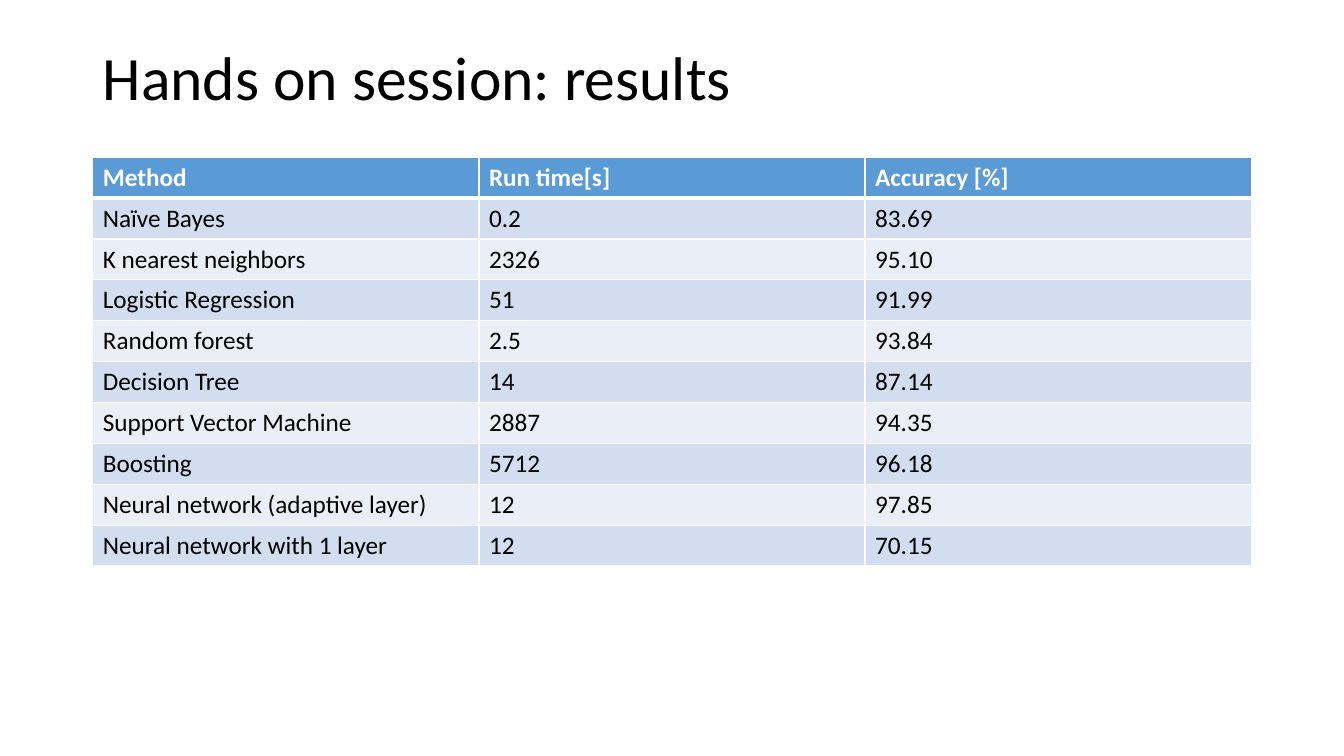
from lxml import etree
from pptx import Presentation
from pptx.dml.color import RGBColor
from pptx.enum.text import MSO_ANCHOR
from pptx.oxml.ns import qn
from pptx.util import Inches, Pt

MIDDLE = MSO_ANCHOR.MIDDLE
FONT = "Calibri"
BLACK, WHITE = "000000", "FFFFFF"
HEADER_FILL = "5B9BD5"
BAND_FILLS = ("EAEFF7", "D2DEEF")

TITLE = "Hands on session: results"
RESULTS = [
    ("Method", "Run time[s]", "Accuracy [%]"),
    ("Naïve Bayes", "0.2", "83.69"),
    ("K nearest neighbors", "2326", "95.10"),
    ("Logistic Regression", "51", "91.99"),
    ("Random forest", "2.5", "93.84"),
    ("Decision Tree", "14", "87.14"),
    ("Support Vector Machine", "2887", "94.35"),
    ("Boosting", "5712", "96.18"),
    ("Neural network (adaptive layer)", "12", "97.85"),
    ("Neural network with 1 layer", "12", "70.15"),
]

PAGE_WIDTH, PAGE_HEIGHT = Inches(13.33), Inches(7.5)
LEFT = Inches(0.92)
CONTENT_WIDTH = PAGE_WIDTH - 2 * LEFT
TITLE_TOP, TITLE_HEIGHT = Inches(0.4), Inches(0.8)
TABLE_TOP, ROW_HEIGHT = Inches(1.56), Pt(29.2)


def color(value):
    return RGBColor.from_string(value)


def write(frame, text, size=18, fill=BLACK, bold=False, line_spacing=None):
    para = frame.paragraphs[0]
    para.line_spacing = line_spacing
    span = para.add_run()
    span.text = text
    span.font.name = FONT
    span.font.size = Pt(size)
    span.font.bold = bold
    span.font.color.rgb = color(fill)


def set_borders(cell, **widths):
    """Draw white borders; widths in points are keyed by side: L, R, T, B."""
    properties = cell._tc.get_or_add_tcPr()
    for side, width in widths.items():
        line = etree.SubElement(properties, qn(f"a:ln{side}"), w=str(Pt(width)))
        solid = etree.SubElement(line, qn("a:solidFill"))
        etree.SubElement(solid, qn("a:srgbClr"), val=WHITE)


def add_title(page):
    box = page.shapes.add_textbox(LEFT, TITLE_TOP, CONTENT_WIDTH, TITLE_HEIGHT)
    frame = box.text_frame
    frame.word_wrap = True
    frame.vertical_anchor = MIDDLE
    write(frame, TITLE, size=44, line_spacing=0.9)


def add_results(page):
    rows, columns = len(RESULTS), len(RESULTS[0])
    table = page.shapes.add_table(rows, columns, LEFT, TABLE_TOP,
                                  CONTENT_WIDTH, ROW_HEIGHT * rows).table
    for row, values in enumerate(RESULTS):
        header = row == 0
        for column, value in enumerate(values):
            cell = table.cell(row, column)
            set_borders(cell, L=1, R=1, T=3 if row == 1 else 1, B=3 if header else 1)
            cell.fill.solid()
            cell.fill.fore_color.rgb = color(HEADER_FILL if header else BAND_FILLS[row % 2])
            write(cell.text_frame, value, fill=WHITE if header else BLACK, bold=header)


def main():
    deck = Presentation()
    deck.slide_width, deck.slide_height = PAGE_WIDTH, PAGE_HEIGHT
    page = deck.slides.add_slide(deck.slide_layouts[6])
    add_title(page)
    add_results(page)
    deck.save("out.pptx")


if __name__ == "__main__":
    main()
